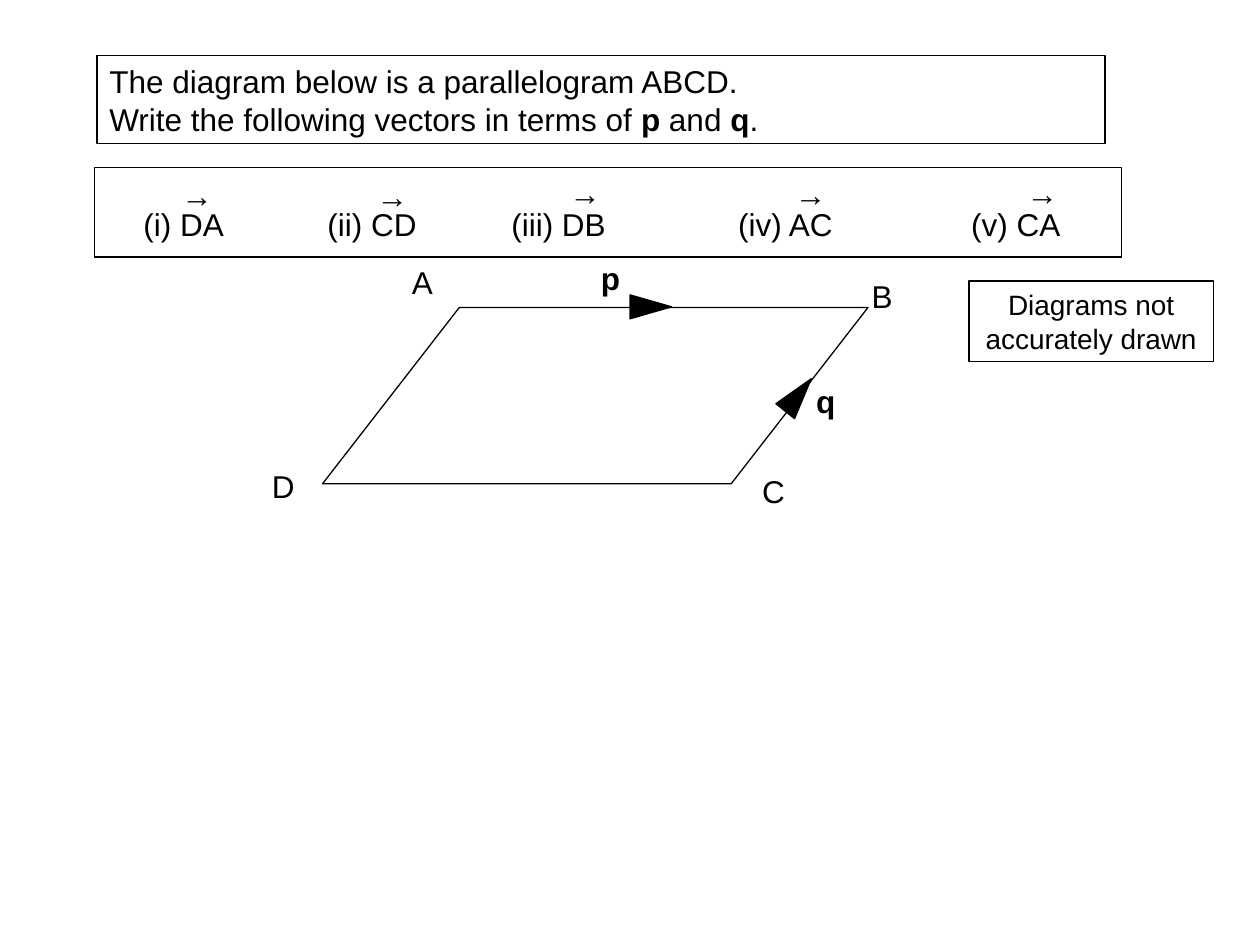
from pptx import Presentation
from pptx.dml.color import RGBColor
from pptx.enum.shapes import MSO_SHAPE
from pptx.enum.text import MSO_ANCHOR, PP_ALIGN
from pptx.oxml.ns import qn
from pptx.util import Inches, Pt
from lxml import etree

RECT = MSO_SHAPE.RECTANGLE
PARALLELOGRAM = MSO_SHAPE.PARALLELOGRAM
TRIANGLE = MSO_SHAPE.ISOSCELES_TRIANGLE
MIDDLE, TOP = MSO_ANCHOR.MIDDLE, MSO_ANCHOR.TOP
LEFT, CENTER = PP_ALIGN.LEFT, PP_ALIGN.CENTER

THEME = {"font": "Arial", "ink": RGBColor(0, 0, 0), "body": 18, "note": 16, "line": 0.75}

QUESTION = [
    ("The diagram below is a parallelogram ABCD.", False),
    ("\n", False),
    ("Write the following vectors in terms of ", False),
    ("p", True), (" and ", False), ("q", True), (".", False),
]
VECTORS = ["(i) DA", "(ii) CD", "(iii) DB", "(iv) AC", "(v) CA"]
VECTOR_TABS = [1.46, 2.92, 4.72, 6.57]
VECTOR_ARROWS = [(1.34, 1.35), (2.89, 1.36), (4.42, 1.33), (6.21, 1.34), (8.05, 1.33)]
LABELS = [
    ("p", True, 4.67, 2.01), ("A", False, 3.17, 2.04), ("B", False, 6.82, 2.15),
    ("C", False, 5.95, 3.7), ("D", False, 2.06, 3.66), ("q", True, 6.38, 2.98),
]
SIDE_ARROWS = [(5.07, 2.27, 90), (6.24, 2.97, 38.8)]
NOTE = [("Diagrams not accurately drawn", False)]


def write(s, runs, size=THEME["body"], align=LEFT, anchor=TOP, tabs=()):
    tf = s.text_frame
    tf.word_wrap = True
    tf.vertical_anchor = anchor
    p = tf.paragraphs[0]
    p.alignment = align
    if tabs:
        tab_list = etree.SubElement(p._p.get_or_add_pPr(), qn("a:tabLst"))
        for pos in tabs:
            etree.SubElement(tab_list, qn("a:tab"), pos=str(Inches(pos)), algn="l")
    for text, bold in runs:
        if text == "\n":
            p.add_line_break()
            continue
        r = p.add_run()
        r.text = text
        r.font.name = THEME["font"]
        r.font.size = Pt(size)
        r.font.bold = bold
        r.font.color.rgb = THEME["ink"]


def add_text(slide, x, y, w, runs, **style):
    s = slide.shapes.add_textbox(Inches(x), Inches(y), Inches(w), Inches(0.4))
    write(s, runs, **style)


def add_outline(slide, kind, x, y, w, h, filled=False):
    s = slide.shapes.add_shape(kind, Inches(x), Inches(y), Inches(w), Inches(h))
    s.shadow.inherit = False
    if filled:
        s.fill.solid()
        s.fill.fore_color.rgb = THEME["ink"]
    else:
        s.fill.background()
    s.line.color.rgb = THEME["ink"]
    s.line.width = Pt(THEME["line"])
    return s


def main():
    prs = Presentation()
    prs.slide_width, prs.slide_height = Inches(10), Inches(7.5)
    slide = prs.slides.add_slide(prs.slide_layouts[6])

    question = add_outline(slide, RECT, 0.77, 0.44, 8, 0.7)
    write(question, QUESTION, anchor=MIDDLE)

    for name, bold, x, y in LABELS:
        add_text(slide, x, y, 0.7, [(name, bold)])
    for x, y, angle in SIDE_ARROWS:
        add_outline(slide, TRIANGLE, x, y, 0.19, 0.33, filled=True).rotation = angle
    figure = add_outline(slide, PARALLELOGRAM, 2.56, 2.44, 4.33, 1.4)
    figure.adjustments[0] = 0.776

    add_text(slide, 1.04, 1.58, 7.96, [("\t".join(VECTORS), False)], tabs=VECTOR_TABS)
    for x, y in VECTOR_ARROWS:
        add_text(slide, x, y, 0.58, [("→", False)])
    add_outline(slide, RECT, 0.75, 1.33, 8.15, 0.71)

    note = add_outline(slide, RECT, 7.69, 2.23, 1.94, 0.64)
    write(note, NOTE, size=THEME["note"], align=CENTER, anchor=MIDDLE)

    prs.save("out.pptx")


if __name__ == "__main__":
    main()
